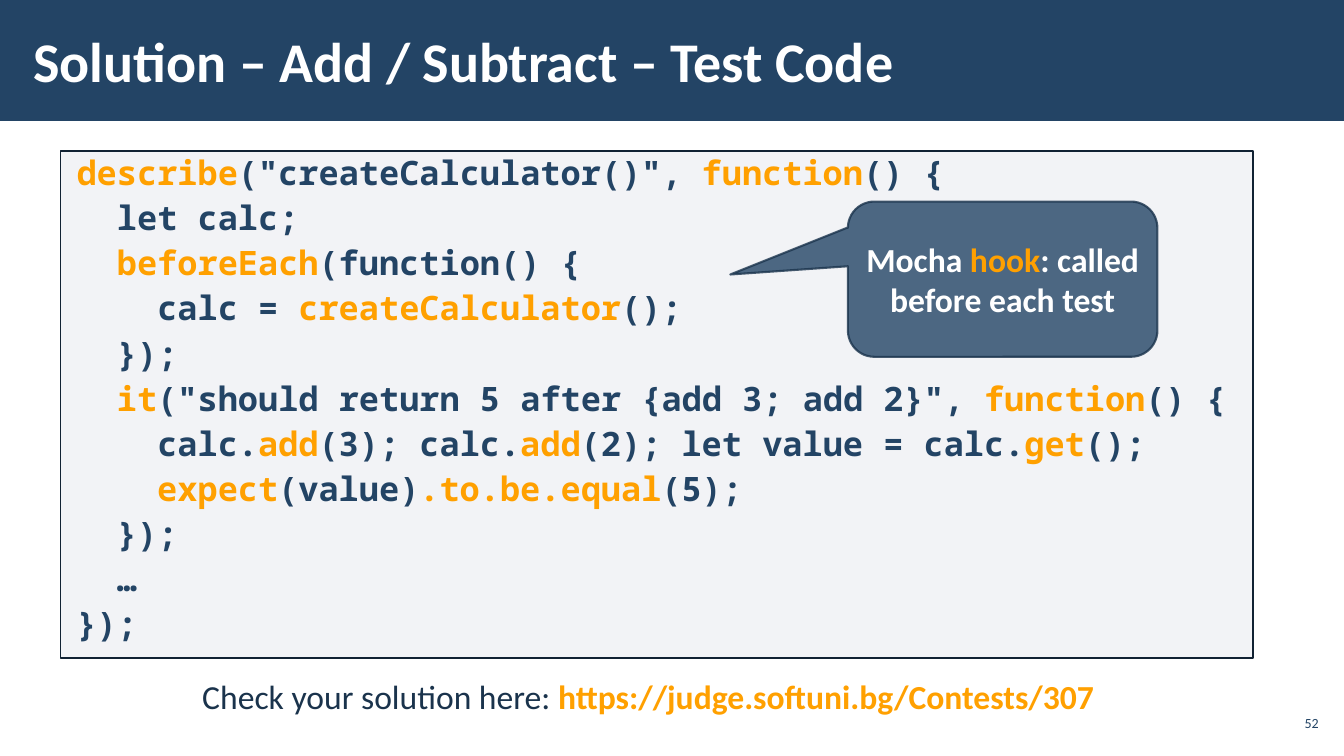
from lxml import etree
from pptx import Presentation
from pptx import util as u
from pptx.dml.color import RGBColor
from pptx.enum import shapes, text
from pptx.oxml import ns

SCALE = 9144
NAVY = RGBColor(0x23, 0x44, 0x65)
DARK = RGBColor(0x1A, 0x33, 0x4C)
EDGE = RGBColor(0x11, 0x22, 0x33)
GREY = RGBColor(0xAD, 0xB4, 0xC3)
AMBER = RGBColor(0xFF, 0xA0, 0x00)
WHITE = RGBColor(0xFF, 0xFF, 0xFF)

CODE = """*describe*("createCalculator()", *function*() {
  let calc;
  *beforeEach*(function() {
    calc = *createCalculator*();
  });
  *it*("should return 5 after {add 3; add 2}", *function*() {
    calc.*add*(3); calc.*add*(2); let value = calc.*get*();
    *expect*(value)*.to.be.equal*(5);
  });
  …
});"""


def px(n):
    return u.Emu(n * SCALE)


def fade(part, share):
    color = part.find(".//" + ns.qn("a:srgbClr"))
    alpha = etree.SubElement(color, ns.qn("a:alpha"))
    alpha.set("val", str(share * 1000))


def write(shape, words, size, color, font="Calibri", bold=False,
          align=text.PP_ALIGN.LEFT, anchor=text.MSO_ANCHOR.TOP,
          inset=(10, 5), lines=None, gap=0):
    frame = shape.text_frame
    frame.word_wrap = True
    frame.vertical_anchor = anchor
    frame.margin_left = frame.margin_right = px(inset[0])
    frame.margin_top = frame.margin_bottom = px(inset[1])
    for row, line in enumerate(words.split("\n")):
        para = frame.add_paragraph() if row else frame.paragraphs[0]
        para.alignment = align
        para.space_before = u.Pt(gap if row else 0)
        para.space_after = u.Pt(gap)
        if lines:
            para.line_spacing = lines
        for turn, piece in enumerate(line.split("*")):
            if not piece:
                continue
            key = turn % 2 == 1
            run = para.add_run()
            run.text = piece
            run.font.name = font
            run.font.size = u.Pt(size)
            run.font.bold = bold or key
            run.font.color.rgb = AMBER if key else color


def add_box(slide, box, fill, kind=shapes.MSO_SHAPE.RECTANGLE):
    shape = slide.shapes.add_shape(kind, *map(px, box))
    shape.shadow.inherit = False
    shape.fill.solid()
    shape.fill.fore_color.rgb = fill
    shape.line.fill.background()
    return shape


def add_label(slide, box, words, size, color, **style):
    label = slide.shapes.add_textbox(*map(px, box))
    write(label, words, size, color, **style)


def add_header(slide, box):
    left, top, width, height = box
    add_box(slide, box, NAVY)
    add_label(slide, (left + 21, top + 11, 1039, height - 23),
              "Solution – Add / Subtract – Test Code", 40, WHITE,
              bold=True, anchor=text.MSO_ANCHOR.MIDDLE, inset=(12, 4))


def add_callout(slide, box):
    shape = add_box(slide, box, NAVY,
                    shapes.MSO_SHAPE.ROUNDED_RECTANGULAR_CALLOUT)
    for spot, value in enumerate((-0.88, -0.03, 0.17)):
        shape.adjustments[spot] = value
    shape.line.color.rgb = DARK
    shape.line.width = u.Pt(1.5)
    fade(shape.fill._xPr.find(ns.qn("a:solidFill")), 80)
    fade(shape.line._ln, 80)
    write(shape, "Mocha *hook*: called before each test", 24, WHITE,
          bold=True, align=text.PP_ALIGN.CENTER,
          anchor=text.MSO_ANCHOR.MIDDLE)


def add_code(slide, box):
    left, top, width, height = box
    panel = add_box(slide, box, GREY)
    fade(panel.fill._xPr.find(ns.qn("a:solidFill")), 15)
    panel.line.color.rgb = EDGE
    panel.line.width = u.Pt(1)
    write(panel, CODE, 24, NAVY, font="Noto Sans Mono", bold=True,
          inset=(16, 12), lines=0.7, gap=6)
    add_callout(slide, (left + 781, top + 50, 307, 154))


def add_footer(slide, box):
    left, top, width, height = box
    add_label(slide, (left + 60, top, 1166, 56),
              "Check your solution here: "
              "*https://judge.softuni.bg/Contests/307*",
              24, DARK, align=text.PP_ALIGN.CENTER, inset=(16, 8))
    add_label(slide, (left + width - 68, top + 37, 47, 34), "52", 10, NAVY,
              align=text.PP_ALIGN.RIGHT, anchor=text.MSO_ANCHOR.MIDDLE,
              inset=(4, 4))


def main():
    deck = Presentation()
    deck.slide_width, deck.slide_height = px(1333), px(750)
    slide = deck.slides.add_slide(deck.slide_layouts[6])
    add_header(slide, (0, 0, 1333, 120))
    add_code(slide, (60, 150, 1183, 503))
    add_footer(slide, (0, 663, 1333, 87))
    deck.save("out.pptx")


if __name__ == "__main__":
    main()
